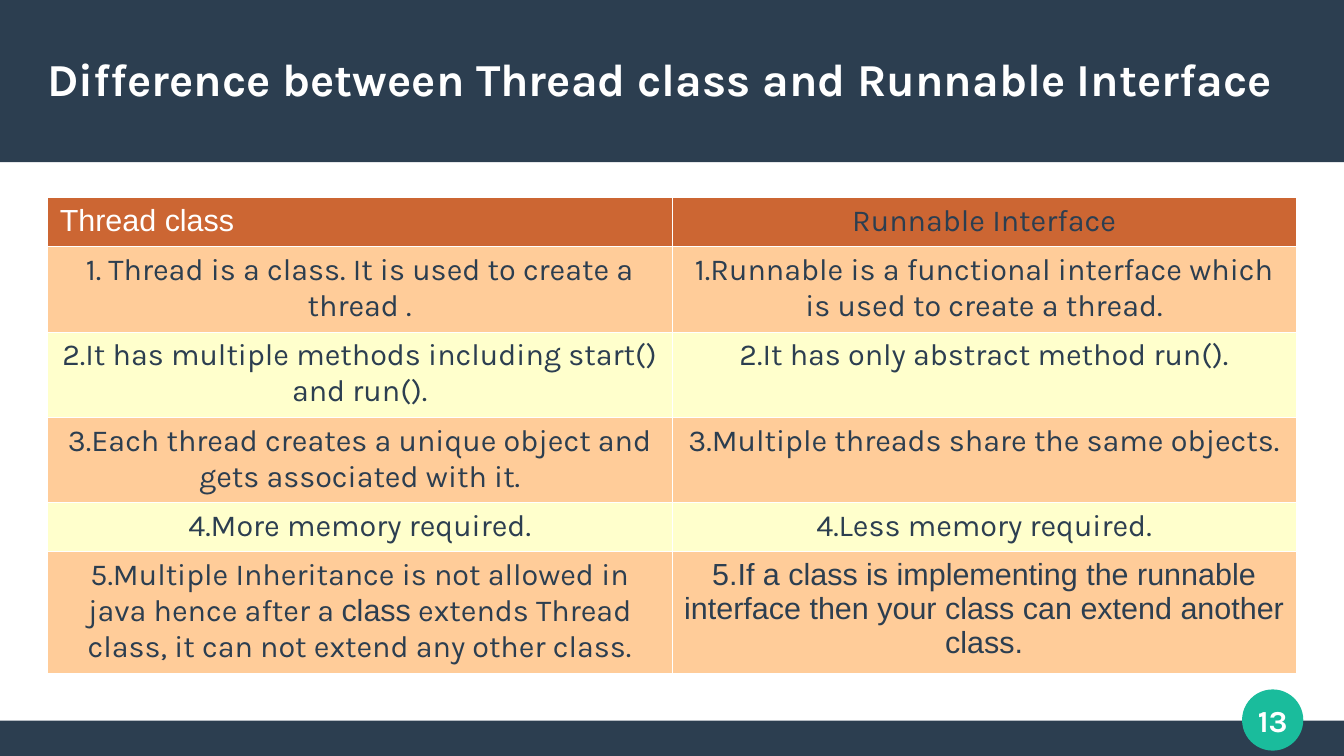
"""Build a slide comparing the Thread class with the Runnable interface."""
from dataclasses import dataclass

from lxml import etree
from pptx import Presentation
from pptx.dml.color import RGBColor
from pptx.enum.shapes import MSO_SHAPE
from pptx.enum.text import MSO_ANCHOR, PP_ALIGN
from pptx.oxml.ns import qn
from pptx.util import Inches, Pt

RECTANGLE, OVAL = MSO_SHAPE.RECTANGLE, MSO_SHAPE.OVAL
LEFT, CENTER = PP_ALIGN.LEFT, PP_ALIGN.CENTER
MIDDLE = MSO_ANCHOR.MIDDLE


@dataclass(frozen=True)
class Theme:
    """Colours, fonts and type sizes of the slide."""

    navy: str = "2C3E50"
    teal: str = "1ABC9C"
    white: str = "FFFFFF"
    header: str = "CC6633"
    bands: tuple = ("FFCC99", "FFFFCC")
    font: str = "Karla"
    plain_font: str = "Arial"
    title_size: float = 27
    body_size: float = 18
    border_width: float = 0.06


THEME = Theme()
COLUMN_WIDTH = 5.12
ROW_HEIGHTS = (0.4, 0.7, 0.7, 0.7, 0.4, 1)
HEADINGS = (
    ("Thread class", {"font": THEME.plain_font, "color": THEME.white, "align": LEFT}),
    ("Runnable Interface", {}),
)
COMPARISONS = (
    ("1. Thread is a class. It is used to create a thread .",
     "1.Runnable is a functional interface which is used to create a thread."),
    ("2.It has multiple methods including start() and run().",
     "2.It has only abstract method run()."),
    ("3.Each thread creates a unique object and gets associated with it.",
     "3.Multiple threads share the same objects."),
    ("4.More memory required.", "4.Less memory required."),
)
INHERITANCE_RUNS = (
    ("5.Multiple Inheritance is not allowed in java hence after a ", THEME.font),
    ("class", THEME.plain_font),
    (" extends Thread class, it can not extend any other class.", THEME.font),
)
IMPLEMENTING = ("5.If a class is implementing the runnable interface "
                "then your class can extend another class.")


def write_text(paragraph, text, *, font=THEME.font, size=THEME.body_size,
               color=THEME.navy, bold=False, align=CENTER):
    """Append a formatted run to a paragraph."""
    paragraph.alignment = align
    run = paragraph.add_run()
    run.text = text
    run.font.name = font
    run.font.size = Pt(size)
    run.font.bold = bold
    run.font.color.rgb = RGBColor.from_string(color)


def add_block(slide, kind, left, top, width, height, color):
    """Add a flat shape without outline or shadow."""
    shape = slide.shapes.add_shape(
        kind, Inches(left), Inches(top), Inches(width), Inches(height))
    shape.shadow.inherit = False
    shape.fill.solid()
    shape.fill.fore_color.rgb = RGBColor.from_string(color)
    shape.line.fill.background()
    return shape


def add_label(slide, left, top, width, height, text, **text_format):
    """Add a vertically centred text box without insets."""
    box = slide.shapes.add_textbox(
        Inches(left), Inches(top), Inches(width), Inches(height))
    frame = box.text_frame
    frame.word_wrap = True
    frame.vertical_anchor = MIDDLE
    frame.margin_left = frame.margin_right = 0
    frame.margin_top = frame.margin_bottom = 0
    write_text(frame.paragraphs[0], text, color=THEME.white, bold=True, **text_format)


def style_cell(cell, color):
    """Give a table cell thin white borders and a solid fill."""
    properties = cell._tc.get_or_add_tcPr()
    for side in ("a:lnL", "a:lnR", "a:lnT", "a:lnB"):
        line = etree.SubElement(
            properties, qn(side), w=str(int(Pt(THEME.border_width))))
        fill = etree.SubElement(line, qn("a:solidFill"))
        etree.SubElement(fill, qn("a:srgbClr"), val=THEME.white)
    cell.fill.solid()
    cell.fill.fore_color.rgb = RGBColor.from_string(color)


def add_comparison_table(slide):
    """Add the two-column comparison with alternating row colours."""
    table = slide.shapes.add_table(
        len(ROW_HEIGHTS), len(HEADINGS), Inches(0.39), Inches(1.62),
        Inches(COLUMN_WIDTH * len(HEADINGS)), Inches(sum(ROW_HEIGHTS))).table
    for column in table.columns:
        column.width = Inches(COLUMN_WIDTH)
    for index, height in enumerate(ROW_HEIGHTS):
        table.rows[index].height = Inches(height)
        color = THEME.bands[(index - 1) % 2] if index else THEME.header
        for cell in table.rows[index].cells:
            style_cell(cell, color)

    def first_paragraph(row, column):
        """Return the paragraph of one cell."""
        return table.cell(row, column).text_frame.paragraphs[0]

    for column, (heading, text_format) in enumerate(HEADINGS):
        write_text(first_paragraph(0, column), heading, **text_format)
    for row, texts in enumerate(COMPARISONS, start=1):
        for column, text in enumerate(texts):
            write_text(first_paragraph(row, column), text)
    last_row = len(ROW_HEIGHTS) - 1
    for text, font in INHERITANCE_RUNS:
        write_text(first_paragraph(last_row, 0), text, font=font)
    write_text(first_paragraph(last_row, 1), IMPLEMENTING, font=THEME.plain_font)


def main():
    """Build and save the presentation."""
    presentation = Presentation()
    presentation.slide_width = Inches(11.02)
    presentation.slide_height = Inches(6.2)
    slide = presentation.slides.add_slide(presentation.slide_layouts[6])
    add_block(slide, RECTANGLE, 0, 5.91, 11.02, 0.29, THEME.navy)
    add_block(slide, RECTANGLE, 0, 0, 11.02, 1.33, THEME.navy)
    badge = add_block(slide, OVAL, 10.19, 5.66, 0.49, 0.49, THEME.teal)
    badge.line.color.rgb = RGBColor.from_string(THEME.teal)
    badge.line.width = Pt(0.85)
    add_label(slide, 10.04, 5.61, 0.79, 0.59, "13")
    add_label(slide, 0.39, 0.25, 10.24, 0.79,
              "Difference between Thread class and Runnable Interface",
              size=THEME.title_size, align=LEFT)
    add_comparison_table(slide)
    presentation.save("out.pptx")


if __name__ == "__main__":
    main()
